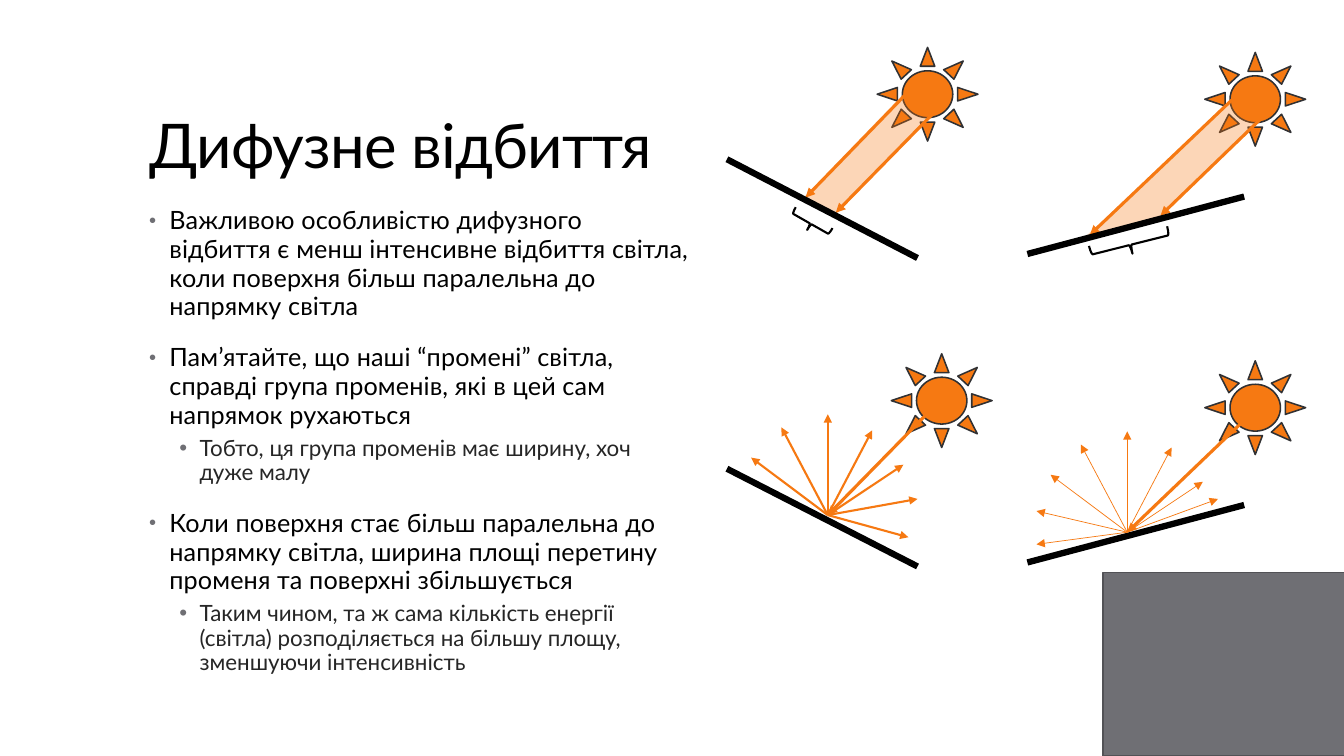
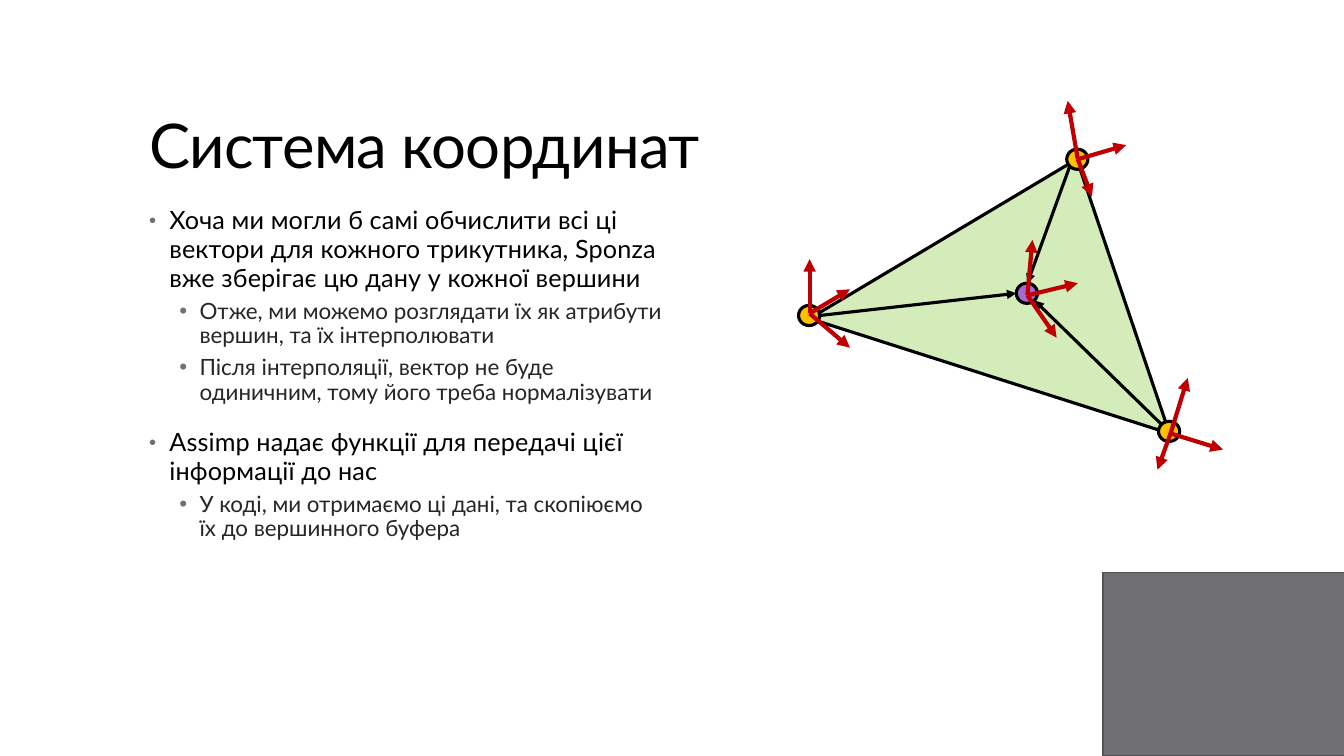
from lxml import etree
from pptx import Presentation
from pptx.dml.color import RGBColor
from pptx.enum.shapes import MSO_CONNECTOR, MSO_SHAPE as SHAPE
from pptx.enum.text import MSO_ANCHOR, MSO_AUTO_SIZE, PP_ALIGN
from pptx.oxml.ns import qn
from pptx.util import Inches, Pt

BLACK = RGBColor(0x00, 0x00, 0x00)
DARK = RGBColor(0x26, 0x26, 0x26)
GRAY = RGBColor(0x6F, 0x6F, 0x74)
GRAY_EDGE = RGBColor(0x52, 0x52, 0x56)
SUN_EDGE = RGBColor(0x31, 0x31, 0x33)
ORANGE = RGBColor(0xF6, 0x79, 0x12)
GREEN = RGBColor(0x92, 0xD0, 0x50)
YELLOW = RGBColor(0xFF, 0xC0, 0x00)
PURPLE = RGBColor(0xA6, 0x6B, 0xD3)
RED = RGBColor(0xC0, 0x00, 0x00)
FONT = "Lato"

# level: size, colour, tracking, indent, line spacing, before, after, bullet size
LEVELS = [
    (18, BLACK, 10, 0.2, 0.95, 14, 2, 80),
    (16, DARK, 0, 0.5, 0.9, 3, 3, 100),
]
COMMON_RAYS = [(0, -1), (-0.46, -0.87), (-0.76, -0.57), (0.44, -0.84), (0.75, -0.5)]


class Deck:
    """Hold the shared style, the presentation and the current slide."""

    def __init__(self):
        self.prs = Presentation()
        self.prs.slide_width = Inches(13.33)
        self.prs.slide_height = Inches(7.5)
        self.s = None

    def new_slide(self, title, body_width, items):
        self.s = self.prs.slides.add_slide(self.prs.slide_layouts[1])
        self.shape(SHAPE.RECTANGLE, (10.94, 5.68, 2.4, 1.82), GRAY, GRAY_EDGE, 1.1)
        tf = self.frame(self.s.shapes.title, (1.38, 0.4, 10.6, 1.45), MSO_ANCHOR.BOTTOM)
        p = tf.paragraphs[0]
        p.alignment, p.line_spacing = PP_ALIGN.LEFT, 0.9
        self.run(p, title, 44, BLACK, -50)
        tf = self.frame(self.s.placeholders[1], (1.38, 2, body_width, 4.76), MSO_ANCHOR.TOP)
        for i, (level, text) in enumerate(items):
            self.bullet(tf.add_paragraph() if i else tf.paragraphs[0], level, text, i == 0)

    def frame(self, sp, box, anchor):
        sp.left, sp.top, sp.width, sp.height = map(Inches, box)
        tf = sp.text_frame
        tf.word_wrap, tf.auto_size = True, MSO_AUTO_SIZE.NONE
        tf.vertical_anchor = anchor
        return tf

    def run(self, p, text, size, color, tracking):
        r = p.add_run()
        r.text = text
        r.font.name, r.font.size = FONT, Pt(size)
        r.font.color.rgb = color
        r._r.get_or_add_rPr().set("spc", str(tracking))

    def bullet(self, p, level, text, first):
        size, color, tracking, indent, spacing, before, after, scale = LEVELS[level]
        p.level, p.alignment = level, PP_ALIGN.LEFT
        p.line_spacing = spacing
        p.space_before, p.space_after = Pt(0 if first else before), Pt(after)
        pPr = p._p.get_or_add_pPr()
        pPr.set("marL", str(Inches(indent)))
        pPr.set("indent", str(Inches(-0.2)))
        clr = etree.SubElement(pPr, qn("a:buClr"))
        etree.SubElement(clr, qn("a:srgbClr"), val=str(GRAY))
        etree.SubElement(pPr, qn("a:buSzPct"), val=str(scale * 1000))
        etree.SubElement(pPr, qn("a:buFont"), typeface="Arial")
        etree.SubElement(pPr, qn("a:buChar"), char="•")
        self.run(p, text, size, color, tracking)

    def paint(self, sp, fill, line, width):
        sp.shadow.inherit = False
        if fill is None:
            sp.fill.background()
        else:
            sp.fill.solid()
            sp.fill.fore_color.rgb = fill
        if line is None:
            sp.line.fill.background()
        else:
            sp.line.color.rgb, sp.line.width = line, Pt(width)

    def shape(self, kind, box, fill, line, width, rotation=0):
        sp = self.s.shapes.add_shape(kind, *map(Inches, box))
        sp.rotation = rotation
        self.paint(sp, fill, line, width)

    def polygon(self, points, fill, opacity, line=None, width=0):
        start, *rest = [(Inches(x), Inches(y)) for x, y in points]
        builder = self.s.shapes.build_freeform(*start)
        builder.add_line_segments(rest, close=True)
        sp = builder.convert_to_shape()
        self.paint(sp, fill, line, width)
        clr = sp.element.spPr.find(qn("a:solidFill")).find(qn("a:srgbClr"))
        etree.SubElement(clr, qn("a:alpha"), val=str(opacity * 1000))

    def line(self, start, end, color, width, arrow=True):
        c = self.s.shapes.add_connector(MSO_CONNECTOR.STRAIGHT, *map(Inches, (*start, *end)))
        c.line.color.rgb, c.line.width = color, Pt(width)
        if arrow:
            etree.SubElement(c.line._get_or_add_ln(), qn("a:tailEnd"), type="triangle")
        etree.SubElement(c.element.spPr, qn("a:effectLst"))

    def fan(self, origin, tips, color, width):
        for tip in tips:
            self.line(origin, tip, color, width)

    def sun(self, x, y):
        self.shape(SHAPE.SUN, (x, y, 1, 0.93), ORANGE, SUN_EDGE, 1.1)

    def surface(self, start, end):
        self.line(start, end, BLACK, 4.5, arrow=False)

    def beam_scene(self, sun, edges, beam, surface, brace, rotation):
        self.sun(*sun)
        for start, end in edges:
            self.line(start, end, ORANGE, 2.25)
        self.polygon(beam, ORANGE, 30)
        self.surface(*surface)
        self.shape(SHAPE.RIGHT_BRACE, brace, None, BLACK, 1.5, rotation)

    def scatter_scene(self, sun, light, surface, hit, extra_rays, width):
        self.surface(*surface)
        self.sun(*sun)
        self.line(light, hit, ORANGE, 2.25)
        tips = [(hit[0] + dx, hit[1] + dy) for dx, dy in COMMON_RAYS + extra_rays]
        self.fan(hit, tips, ORANGE, width)

    def vertex(self, x, y, color):
        self.shape(SHAPE.OVAL, (x, y, 0.21, 0.2), color, BLACK, 2.25)


def diffuse_slide(deck):
    deck.new_slide("Дифузне відбиття", 5.56, [
        (0, "Важливою особливістю дифузного відбиття є менш інтенсивне відбиття світла, "
            "коли поверхня більш паралельна до напрямку світла"),
        (0, "Пам’ятайте, що наші “промені” світла, справді група променів, "
            "які в цей сам напрямок рухаються"),
        (1, "Тобто, ця група променів має ширину, хоч дуже малу"),
        (0, "Коли поверхня стає більш паралельна до напрямку світла, "
            "ширина площі перетину променя та поверхні збільшується"),
        (1, "Таким чином, та ж сама кількість енергії (світла) розподіляється "
            "на більшу площу, зменшуючи інтенсивність"),
    ])
    deck.beam_scene(
        (8.7, 0.47),
        [((8.97, 0.95), (7.99, 1.96)), ((9.28, 1.1), (8.29, 2.11))],
        [(7.97, 1.96), (8.3, 2.12), (9.31, 1.05), (9.02, 0.87)],
        ((7.21, 1.58), (9.1, 2.56)), (7.97, 2.01, 0.14, 0.42), 119.6)
    deck.beam_scene(
        (11.95, 0.52),
        [((12.23, 0.98), (10.81, 2.33)), ((12.67, 1.02), (11.51, 2.14))],
        [(12.53, 1.17), (11.48, 2.18), (10.72, 2.39), (12.27, 0.95)],
        ((10.19, 2.52), (12.34, 1.95)), (11.12, 2.03, 0.18, 0.8), 75.9)
    deck.scatter_scene(
        (8.84, 3.51), (9.19, 4.11), ((7.21, 4.65), (9.1, 5.62)), (8.21, 5.11),
        [(0.89, -0.16), (0.8, 0.22)], 1.5)
    deck.scatter_scene(
        (11.95, 3.58), (12.34, 4.17), ((10.19, 5.58), (12.34, 5.01)), (11.18, 5.28),
        [(-0.9, -0.21), (-0.9, 0.12), (0.9, -0.33)], 0.5)


def coordinates_slide(deck):
    deck.new_slide("Система координат", 5.29, [
        (0, "Хоча ми могли б самі обчислити всі ці вектори для кожного трикутника, "
            "Sponza вже зберігає цю дану у кожної вершини"),
        (1, "Отже, ми можемо розглядати їх як атрибути вершин, та їх інтерполювати"),
        (1, "Після інтерполяції, вектор не буде одиничним, тому його треба нормалізувати"),
        (0, "Assimp надає функції для передачі цієї інформації до нас"),
        (1, "У коді, ми отримаємо ці дані, та скопіюємо їх до вершинного буфера"),
    ])
    deck.polygon([(8.03, 3.16), (10.68, 1.58), (11.6, 4.3)], GREEN, 40, BLACK, 2.25)
    for x, y in [(10.58, 1.48), (11.49, 4.18), (7.92, 3.03)]:
        deck.vertex(x, y, YELLOW)
    corner_axes = [
        ((8.03, 3.11), [(8.03, 2.57), (8.43, 3.45), (8.43, 2.87)]),
        ((10.69, 1.58), [(10.59, 1), (10.83, 1.95), (11.17, 1.44)]),
        ((11.61, 4.3), [(11.78, 3.75), (11.48, 4.66), (12.13, 4.46)]),
    ]
    for origin, tips in corner_axes:
        deck.fan(origin, tips, RED, 3)
    deck.vertex(10.08, 2.81, PURPLE)
    for start, end in [((8.13, 3.13), (10.08, 2.91)), ((11.52, 4.21), (10.26, 2.98)),
                       ((10.61, 1.65), (10.19, 2.81))]:
        deck.line(start, end, BLACK, 2.25)
    deck.fan((10.19, 2.93), [(10.24, 2.38), (10.48, 3.35), (10.69, 2.81)], RED, 3)


def main():
    deck = Deck()
    diffuse_slide(deck)
    coordinates_slide(deck)
    deck.prs.save("out.pptx")


if __name__ == "__main__":
    main()
